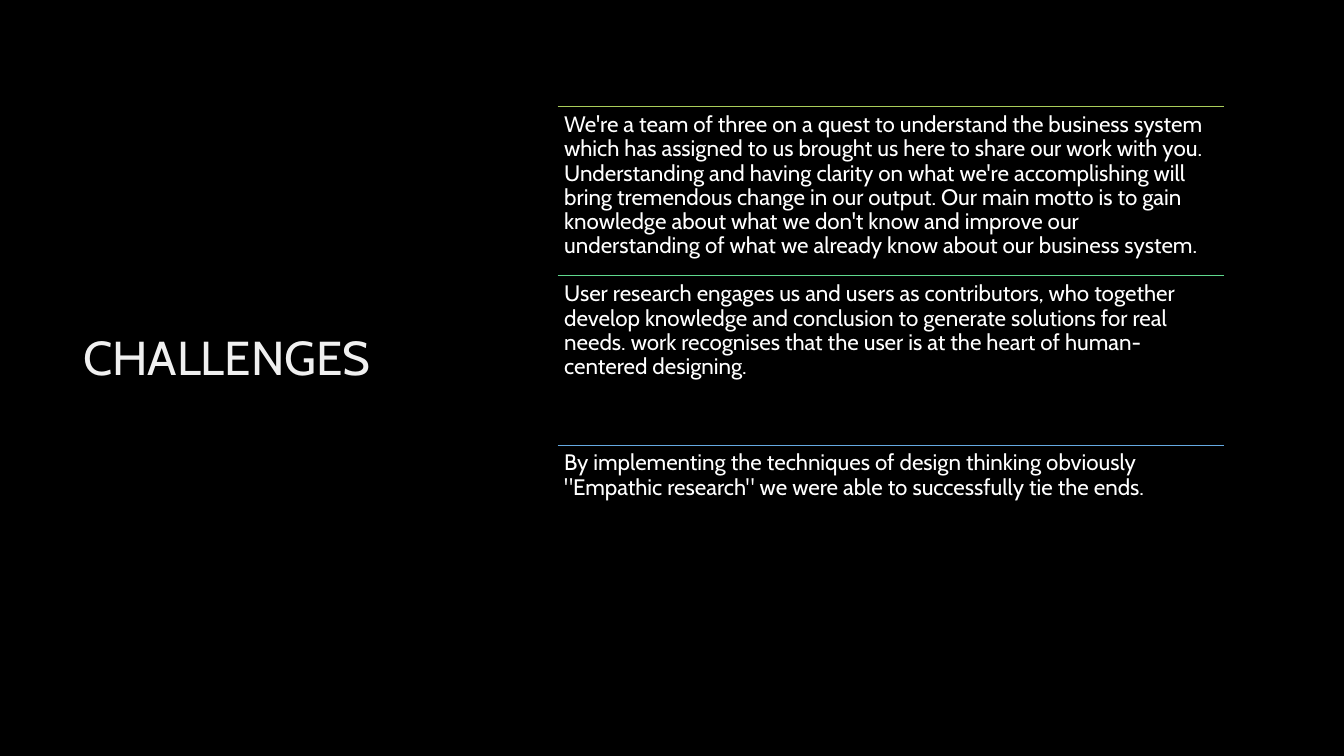
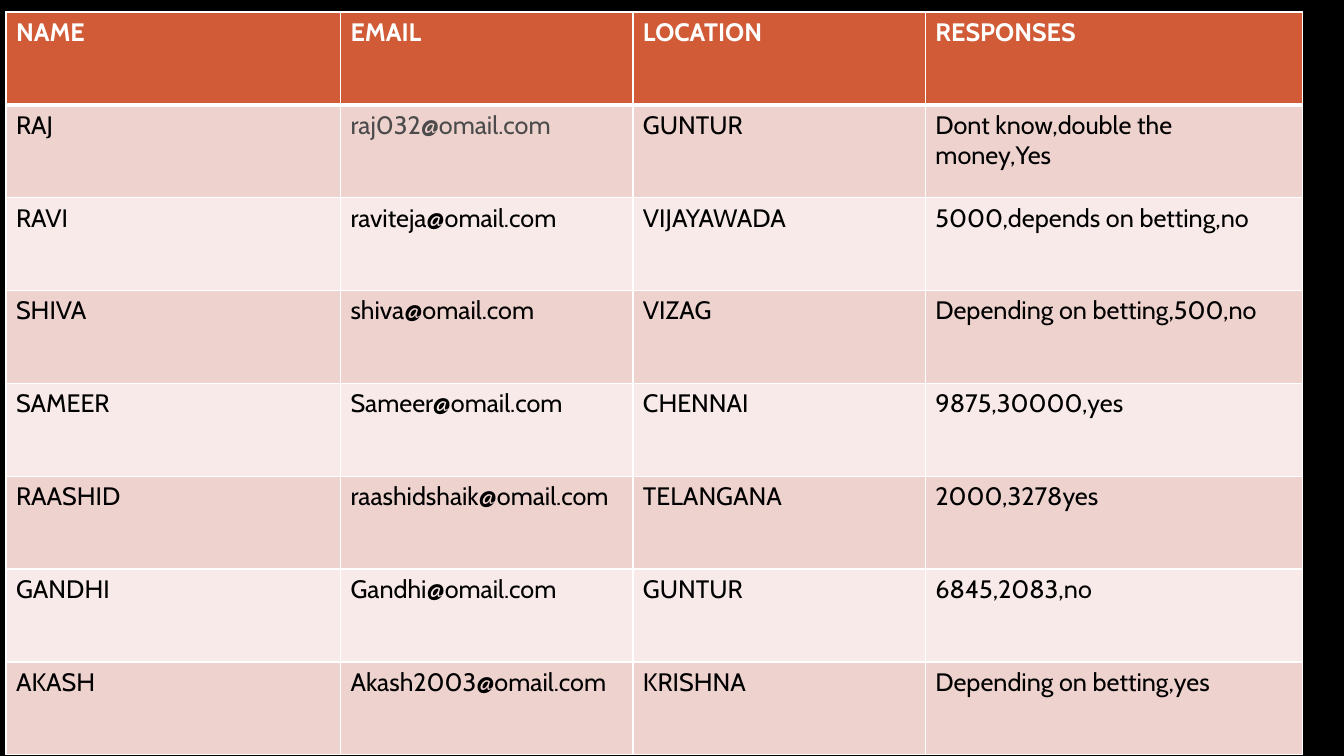
from lxml import etree
from pptx import Presentation
from pptx.dml.color import RGBColor
from pptx.enum.shapes import MSO_CONNECTOR
from pptx.enum.text import MSO_ANCHOR
from pptx.oxml import parse_xml
from pptx.oxml.ns import nsdecls, qn
from pptx.util import Cm, Pt

STRAIGHT = MSO_CONNECTOR.STRAIGHT
MIDDLE = MSO_ANCHOR.MIDDLE
FONT = "Cabin"
BLACK, WHITE = "000000", "FFFFFF"
ACCENT, BAND_DARK, BAND_LIGHT = "D15B37", "EED2CE", "F7EAE8"


def rgb(value):
    return RGBColor.from_string(value)


def write(tf, text, color, **formats):
    p = tf.paragraphs[0]
    r = p.add_run()
    r.text = text
    r.font.name = FONT
    r.font.color.rgb = rgb(color)
    for name, value in formats.items():
        setattr(r.font, name, value)
    return p


prs = Presentation()
prs.slide_width, prs.slide_height = Cm(33.87), Cm(19.05)
slides = []
for _ in range(2):
    s = prs.slides.add_slide(prs.slide_layouts[6])
    s.background.fill.solid()
    s.background.fill.fore_color.rgb = rgb(BLACK)
    slides.append(s)

s = slides[0]
tf = s.shapes.add_textbox(Cm(1.85), Cm(3.96), Cm(8.41), Cm(10.21)).text_frame
tf.word_wrap = True
tf.vertical_anchor = MIDDLE
write(tf, "CHALLENGES", "F0F0F0", size=Pt(34)).line_spacing = 0.9

challenges = [
    ("AACD5B", "We're a team of three on a quest to understand the business system "
     "which has assigned to us brought us here to share our work with you. "
     "Understanding and having clarity on what we're accomplishing will bring "
     "tremendous change in our output. Our main motto is to gain knowledge about "
     "what we don't know and improve our understanding of what we already know "
     "about our business system."),
    ("5FD88D", "User research engages us and users as contributors, who together "
     "develop knowledge and conclusion to generate solutions for real needs. "
     "work recognises that the user is at the heart of human-centered designing."),
    ("65A9E1", "By implementing the techniques of design thinking obviously "
     "\"Empathic research\" we were able to successfully tie the ends."),
]
left, width, height = Cm(14.05), Cm(16.79), Cm(4.26)
margins = {f"margin_{side}": Cm(0.17) for side in ("left", "top", "right", "bottom")}
for i, (color, text) in enumerate(challenges):
    top = Cm(2.69) + i * height
    line = s.shapes.add_connector(STRAIGHT, left, top, left + width, top)
    line.line.color.rgb = rgb(color)
    line.line.width = Pt(0.5)
    etree.SubElement(line._element.spPr, qn("a:effectLst"))
    tf = s.shapes.add_textbox(left, top, width, height).text_frame
    for name, value in {"word_wrap": True, **margins}.items():
        setattr(tf, name, value)
    write(tf, text, WHITE, size=Pt(16)).line_spacing = 0.9

s = slides[1]
rows = [
    ("NAME", "EMAIL", "LOCATION", "RESPONSES"),
    ("RAJ", "raj032@omail.com", "GUNTUR", "Dont know,double the money,Yes"),
    ("RAVI", "raviteja@omail.com", "VIJAYAWADA", "5000,depends on betting,no"),
    ("SHIVA", "shiva@omail.com", "VIZAG", "Depending on betting,500,no"),
    ("SAMEER", "Sameer@omail.com", "CHENNAI", "9875,30000,yes"),
    ("RAASHID", "raashidshaik@omail.com", "TELANGANA", "2000,3278yes"),
    ("GANDHI", "Gandhi@omail.com", "GUNTUR", "6845,2083,no"),
    ("AKASH", "Akash2003@omail.com", "KRISHNA", "Depending on betting,yes"),
]
widths = [Cm(w) for w in (8.43, 7.37, 7.37, 9.5)]
row_height = Cm(2.34)
table = s.shapes.add_table(len(rows), len(widths), Cm(0.15), Cm(0.3),
                           sum(widths), row_height * len(rows)).table
for column, w in zip(table.columns, widths):
    column.width = w
for i, row in enumerate(rows):
    table.rows[i].height = row_height
    header = i == 0
    fill = ACCENT if header else (BAND_LIGHT, BAND_DARK)[i % 2]
    borders = {"L": 1, "R": 1, "T": 3 if i == 1 else 1, "B": 3 if header else 1}
    for j, text in enumerate(row):
        cell = table.cell(i, j)
        tcPr = cell._tc.get_or_add_tcPr()
        for side, weight in borders.items():
            tcPr.append(parse_xml(
                f'<a:ln{side} {nsdecls("a")} w="{Pt(weight)}"><a:solidFill>'
                f'<a:srgbClr val="{WHITE}"/></a:solidFill></a:ln{side}>'))
        cell.fill.solid()
        cell.fill.fore_color.rgb = rgb(fill)
        color = WHITE if header else "4B4B4B" if (i, j) == (1, 1) else BLACK
        write(cell.text_frame, text, color, size=Pt(18), bold=header)

prs.save("out.pptx")
